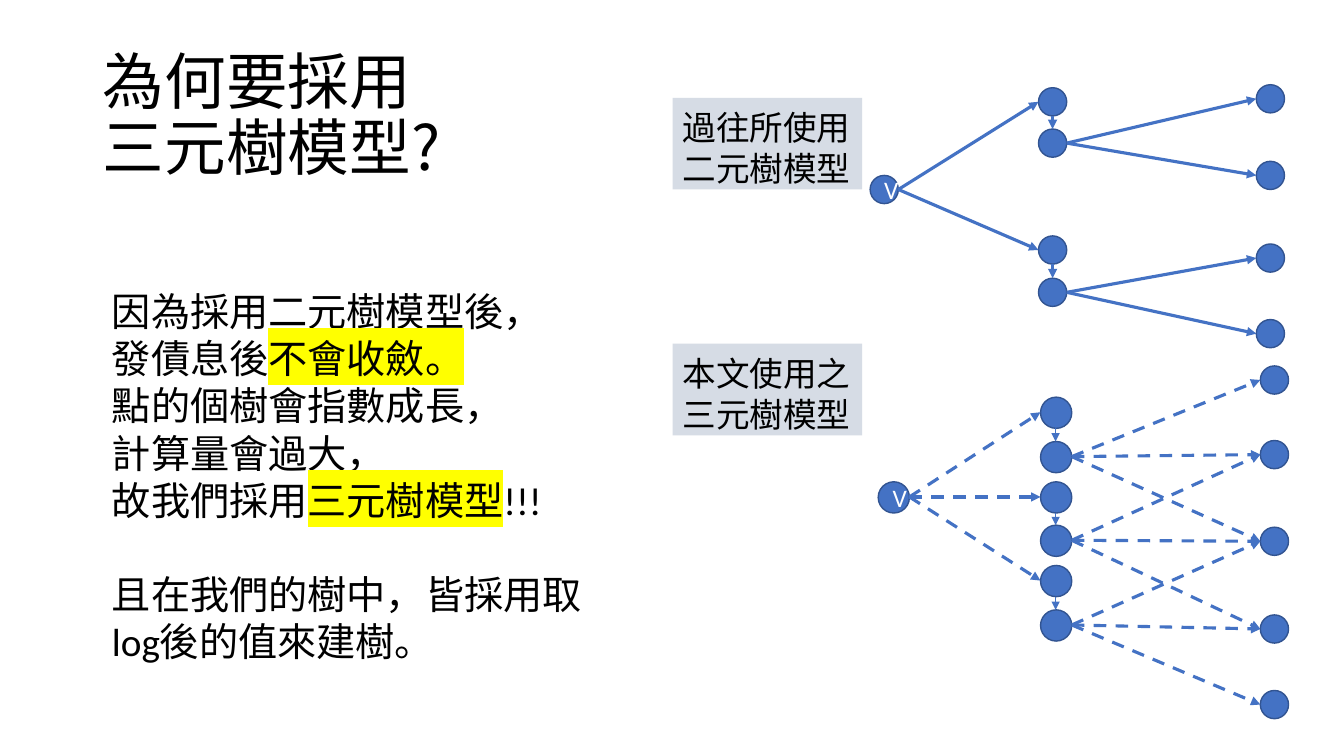
from dataclasses import dataclass

from lxml.etree import SubElement
from pptx import Presentation
from pptx.dml.color import RGBColor
from pptx.enum.dml import MSO_LINE
from pptx.enum.shapes import MSO_CONNECTOR, MSO_SHAPE
from pptx.enum.text import MSO_ANCHOR, MSO_AUTO_SIZE, PP_ALIGN
from pptx.oxml import parse_xml
from pptx.oxml.ns import nsdecls, qn
from pptx.util import Pt

PX = 9144  # 100 px to the inch
BLUE, OUTLINE, PALE, BLACK, WHITE, YELLOW = (
    "4472C4", "325491", "D6DCE5", "000000", "FFFFFF", "FFFF00")


@dataclass(frozen=True)
class Node:
    left: int
    top: int
    size: int
    text: str = ""

    @property
    def middle(self) -> int:
        return self.top + self.size // 2

    @property
    def centre(self) -> int:
        return self.left + self.size // 2


@dataclass(frozen=True)
class Tree:
    """Each start drops to a payoff; payoff i leads to `branches` leaves from i * step."""
    root: Node
    starts: list[Node]
    payoffs: list[Node]
    leaves: list[Node]
    branches: int
    step: int
    dashed: bool
    drop_width: float


@dataclass(frozen=True)
class TextStyle:
    font: str
    east_asian: str
    size: int
    pitch: float


@dataclass(frozen=True)
class Label:
    top: int
    lines: list[str]


def column(left: int, size: int, tops: list[int]) -> list[Node]:
    return [Node(left, top, size) for top in tops]


TREES = [
    Tree(Node(863, 174, 28, "V"), column(1030, 28, [87, 234]),
         column(1030, 28, [128, 276]), column(1246, 28, [84, 160, 242, 317]),
         branches=2, step=2, dashed=False, drop_width=2.25),
    Tree(Node(871, 478, 31, "V"), column(1032, 31, [394, 478, 561]),
         column(1032, 31, [438, 521, 605]),
         column(1250, 28, [363, 437, 523, 610, 685]),
         branches=3, step=1, dashed=True, drop_width=0.5),
]
LABELS = [Label(97, ["過往所使用", "二元樹模型"]), Label(341, ["本文使用之", "三元樹模型"])]
TITLE = ["為何要採用", "三元樹模型?"]
# Text between bars is highlighted.
REASONS = ["因為採用二元樹模型後，", "發債息後|不會收斂。|", "點的個樹會指數成長，",
           "計算量會過大，", "故我們採用|三元樹模型|!!!",
           "且在我們的樹中，皆採用取log後的值來建樹。"]
TITLE_STYLE = TextStyle("Noto Sans CJK SC", "Noto Sans CJK SC", 44, 47.2)
BODY_STYLE = TextStyle("Calibri", "Noto Sans CJK TC", 28, 33.7)
LABEL_STYLE = TextStyle("Noto Sans CJK TC", "Noto Sans CJK TC", 24, 29.3)


def colour(value: str) -> RGBColor:
    return RGBColor.from_string(value)


def apply(target, **values) -> None:
    for name, value in values.items():
        setattr(target, name, value)


def place(shape, left: int, top: int, width: int, height: int) -> None:
    apply(shape, left=left * PX, top=top * PX, width=width * PX, height=height * PX)


def write_span(para, text: str, style: TextStyle, marked: bool) -> None:
    span = para.add_run()
    span.text = text
    apply(span.font, size=Pt(style.size), name=style.font)
    span.font.color.rgb = colour(BLACK)
    latin = span.font._element.find(qn("a:latin"))
    latin.addnext(parse_xml(f'<a:ea {nsdecls("a")} typeface="{style.east_asian}"/>'))
    if marked:
        latin.addprevious(parse_xml(
            f'<a:highlight {nsdecls("a")}><a:srgbClr val="{YELLOW}"/></a:highlight>'))


def write_lines(frame, lines: list[str], style: TextStyle) -> None:
    apply(frame, margin_top=8 * PX, margin_bottom=2 * PX)
    for number, line in enumerate(lines):
        para = frame.paragraphs[0] if number == 0 else frame.add_paragraph()
        apply(para, alignment=PP_ALIGN.LEFT, line_spacing=Pt(style.pitch),
              space_before=Pt(0), space_after=Pt(0))
        for part, text in enumerate(line.split("|")):
            if text:
                write_span(para, text, style, marked=part % 2 == 1)


def remove_bullet(para) -> None:
    properties = para._p.get_or_add_pPr()
    properties.set("marL", "0")
    properties.set("indent", "0")
    SubElement(properties, qn("a:buNone"))


def draw_node(shapes, node: Node) -> None:
    circle = shapes.add_shape(MSO_SHAPE.OVAL, 0, 0, 0, 0)
    place(circle, node.left, node.top, node.size, node.size)
    circle.shadow.inherit = False
    circle.fill.solid()
    circle.fill.fore_color.rgb = colour(BLUE)
    circle.line.color.rgb = colour(OUTLINE)
    circle.line.width = Pt(1)
    if node.text:
        circle.text_frame.vertical_anchor = MSO_ANCHOR.MIDDLE
        para = circle.text_frame.paragraphs[0]
        para.alignment = PP_ALIGN.CENTER
        span = para.add_run()
        span.text = node.text
        apply(span.font, size=Pt(18), name="Calibri")
        span.font.color.rgb = colour(WHITE)


def draw_arrow(shapes, start: tuple[int, int], end: tuple[int, int],
               width: float, dashed: bool) -> None:
    arrow = shapes.add_connector(
        MSO_CONNECTOR.STRAIGHT, *(value * PX for value in start + end))
    arrow.line.color.rgb = colour(BLUE)
    arrow.line.width = Pt(width)
    if dashed:
        arrow.line.dash_style = MSO_LINE.DASH
    SubElement(arrow.line._get_or_add_ln(), qn("a:tailEnd"), type="triangle")
    SubElement(arrow._element.spPr, qn("a:effectLst"))


def draw_tree(page, tree: Tree) -> None:
    shapes = page.shapes.add_group_shape().shapes
    for node in [tree.root, *tree.starts, *tree.payoffs, *tree.leaves]:
        draw_node(shapes, node)
    moves = [(tree.root, start) for start in tree.starts]
    for number, payoff in enumerate(tree.payoffs):
        first = number * tree.step
        moves += [(payoff, leaf) for leaf in tree.leaves[first:first + tree.branches]]
    for origin, target in moves:
        draw_arrow(shapes, (origin.left + origin.size, origin.middle),
                   (target.left, target.middle), 2.25, tree.dashed)
    for start, payoff in zip(tree.starts, tree.payoffs):
        draw_arrow(shapes, (start.centre, start.top + start.size),
                   (payoff.centre, payoff.top), tree.drop_width, False)


def draw_label(page, label: Label) -> None:
    box = page.shapes.add_textbox(0, 0, 0, 0)
    place(box, 667, label.top, 188, 91)
    box.fill.solid()
    box.fill.fore_color.rgb = colour(PALE)
    apply(box.text_frame, word_wrap=False, auto_size=MSO_AUTO_SIZE.SHAPE_TO_FIT_TEXT)
    write_lines(box.text_frame, label.lines, LABEL_STYLE)


def main() -> None:
    deck = Presentation()
    apply(deck, slide_width=1333 * PX, slide_height=750 * PX)
    page = deck.slides.add_slide(deck.slide_layouts[1])

    title = page.shapes.title
    place(title, 92, 40, 1150, 145)
    apply(title.text_frame, auto_size=MSO_AUTO_SIZE.NONE, vertical_anchor=MSO_ANCHOR.MIDDLE)
    write_lines(title.text_frame, TITLE, TITLE_STYLE)

    body = page.placeholders[1]
    place(body, 101, 277, 519, 387)
    apply(body.text_frame, word_wrap=True, auto_size=MSO_AUTO_SIZE.SHAPE_TO_FIT_TEXT,
          vertical_anchor=MSO_ANCHOR.TOP)
    write_lines(body.text_frame, REASONS, BODY_STYLE)
    for para in body.text_frame.paragraphs:
        remove_bullet(para)
    body.text_frame.paragraphs[-1].space_before = Pt(BODY_STYLE.pitch)

    for tree, label in zip(TREES, LABELS):
        draw_tree(page, tree)
        draw_label(page, label)
    deck.save("out.pptx")


if __name__ == "__main__":
    main()
